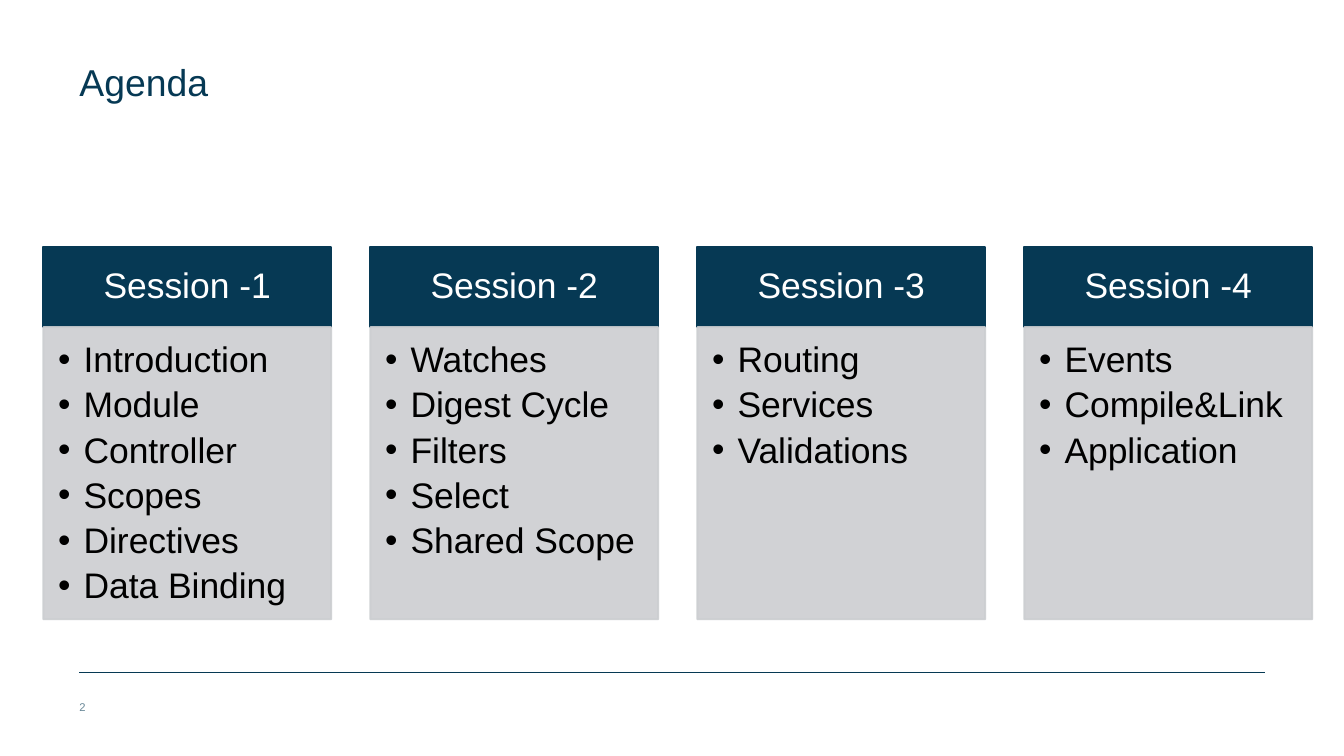
from lxml.etree import SubElement
from pptx import Presentation
from pptx.dml.color import RGBColor
from pptx.enum.shapes import MSO_CONNECTOR, MSO_SHAPE
from pptx.enum.text import MSO_ANCHOR, MSO_AUTO_SIZE, PP_ALIGN
from pptx.oxml.ns import qn
from pptx.util import Cm, Pt

NAVY, GREY, BLUE_GREY = "063954", "CCCED1", "698898"
WHITE, BLACK = "FFFFFF", "000000"
TITLE = "Agenda"
PAGE_NUMBER = "2"
SESSIONS = [
    ("Session -1", ["Introduction", "Module", "Controller", "Scopes",
                    "Directives", "Data Binding"]),
    ("Session -2", ["Watches", "Digest Cycle", "Filters", "Select",
                    "Shared Scope"]),
    ("Session -3", ["Routing", "Services", "Validations"]),
    ("Session -4", ["Events", "Compile&Link", "Application"]),
]

MARGIN, CONTENT_WIDTH = 1.5, 22.4
COLUMN_LEFT, COLUMN_STEP, COLUMN_WIDTH = 0.82, 6.18, 5.44
HEADER_TOP, HEADER_HEIGHT = 4.67, 1.51
BODY_TOP, BODY_HEIGHT = HEADER_TOP + HEADER_HEIGHT, 5.52
BULLET_INDENT = 0.48


def rgb(color):
    return RGBColor.from_string(color)


def add_bullet(paragraph):
    properties = paragraph._p.get_or_add_pPr()
    properties.set("marL", str(Cm(BULLET_INDENT)))
    properties.set("indent", str(-Cm(BULLET_INDENT)))
    SubElement(properties, qn("a:buFont"), typeface="Arial")
    SubElement(properties, qn("a:buChar"), char="•")


def write(shape, lines, size, color, align=PP_ALIGN.LEFT, anchor=MSO_ANCHOR.TOP,
          insets=(0, 0, 0, 0), line_spacing=1.0, space_after=0, bullets=False):
    """Fill a shape with one paragraph per line; insets are left, top, right, bottom in cm."""
    frame = shape.text_frame
    frame.auto_size = MSO_AUTO_SIZE.NONE
    frame.word_wrap = True
    frame.vertical_anchor = anchor
    (frame.margin_left, frame.margin_top,
     frame.margin_right, frame.margin_bottom) = map(Cm, insets)
    frame.text = "\n".join(lines)
    for paragraph in frame.paragraphs:
        paragraph.alignment = align
        paragraph.line_spacing = line_spacing
        paragraph.space_before = Pt(0)
        paragraph.space_after = Pt(space_after)
        if bullets:
            add_bullet(paragraph)
        font = paragraph.runs[0].font
        font.name, font.size = "Arial", Pt(size)
        font.color.rgb = rgb(color)


def add_box(slide, left, top, height, color, opacity=100):
    box = slide.shapes.add_shape(MSO_SHAPE.RECTANGLE, Cm(left), Cm(top),
                                 Cm(COLUMN_WIDTH), Cm(height))
    box.shadow.inherit = False
    box.fill.solid()
    box.fill.fore_color.rgb = rgb(color)
    box.line.color.rgb = rgb(color)
    box.line.width = Pt(1)
    if opacity < 100:
        for element in box._element.spPr.iter(qn("a:srgbClr")):
            SubElement(element, qn("a:alpha"), val=str(opacity * 1000))
    return box


def add_session(slide, left, heading, topics):
    header = add_box(slide, left, HEADER_TOP, HEADER_HEIGHT, NAVY)
    write(header, [heading], 19, WHITE, align=PP_ALIGN.CENTER,
          anchor=MSO_ANCHOR.MIDDLE, insets=(0.38, 0.2, 0.38, 0.2),
          line_spacing=0.9)
    body = add_box(slide, left, BODY_TOP, BODY_HEIGHT, GREY, opacity=90)
    write(body, topics, 19, BLACK, insets=(0.28, 0.28, 0.38, 0.43),
          line_spacing=0.9, space_after=3.7, bullets=True)


def add_footer(slide):
    rule = slide.shapes.add_connector(
        MSO_CONNECTOR.STRAIGHT, Cm(MARGIN), Cm(12.7),
        Cm(MARGIN + CONTENT_WIDTH), Cm(12.7))
    rule.line.color.rgb = rgb(NAVY)
    rule.line.width = Pt(0.5)
    SubElement(rule._element.spPr, qn("a:effectLst"))
    number = slide.shapes.add_textbox(Cm(MARGIN), Cm(13.23), Cm(0.5), Cm(0.25))
    write(number, [PAGE_NUMBER], 6, BLUE_GREY)


def main():
    presentation = Presentation()
    presentation.slide_width, presentation.slide_height = Cm(25.4), Cm(14.28)
    slide = presentation.slides.add_slide(presentation.slide_layouts[5])

    title = slide.shapes.title
    title.left, title.top = Cm(MARGIN), Cm(1.04)
    title.width, title.height = Cm(7.9), Cm(2.77)
    write(title, [TITLE], 20, NAVY, line_spacing=1.1)

    for index, (heading, topics) in enumerate(SESSIONS):
        add_session(slide, COLUMN_LEFT + index * COLUMN_STEP, heading, topics)
    add_footer(slide)
    presentation.save("out.pptx")


if __name__ == "__main__":
    main()
